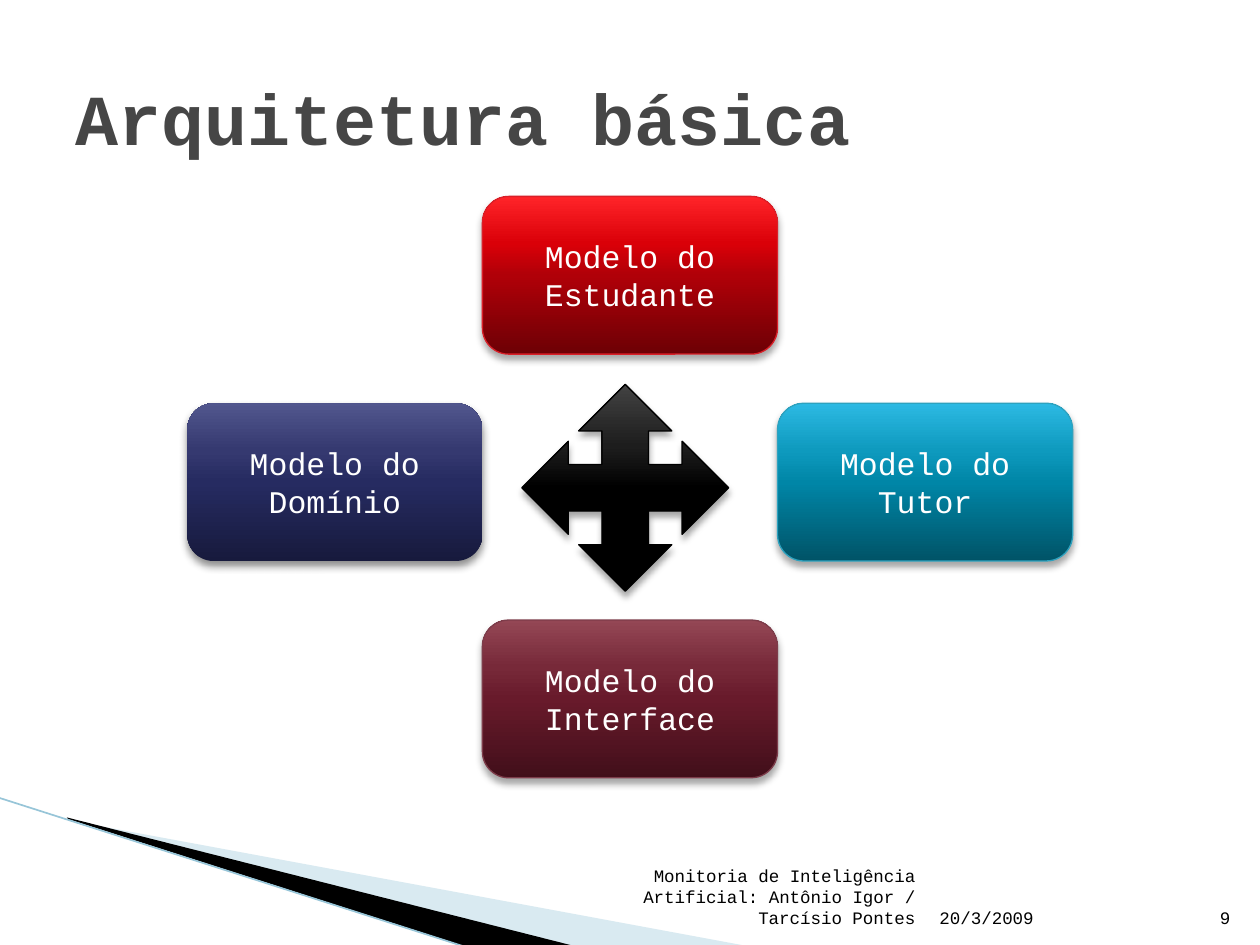
import lxml.etree
import pptx
import pptx.dml.color
import pptx.enum.shapes
import pptx.enum.text
import pptx.oxml
import pptx.oxml.ns
import pptx.util

Cm = pptx.util.Cm
Pt = pptx.util.Pt
RGBColor = pptx.dml.color.RGBColor
MSO_SHAPE = pptx.enum.shapes.MSO_SHAPE
ANCHOR = pptx.enum.text.MSO_ANCHOR
ALIGN = pptx.enum.text.PP_ALIGN
qn = pptx.oxml.ns.qn

FONT = "Courier New"
BLACK = RGBColor(0x00, 0x00, 0x00)
WHITE = RGBColor(0xFF, 0xFF, 0xFF)
TITLE_GRAY = RGBColor(0x46, 0x46, 0x46)
PALE_BLUE = RGBColor(0xA0, 0xCB, 0xDC)
EDGE_BLUE = RGBColor(0x97, 0xC5, 0xD8)
RED_LINE = RGBColor(0xDA, 0x1F, 0x28)
WINE_LINE = RGBColor(0x7D, 0x3C, 0x4A)
CYAN_LINE = RGBColor(0x2D, 0xA2, 0xBF)


def shades(*codes):
    return [RGBColor.from_string(code) for code in codes]


BLACKS = shades("000000", "000000", "1D1D1D", "424242")
REDS = shades("6D0005", "B00008", "DA0008", "FF2429")
NAVIES = shades("171A3D", "262B61", "353970", "51568D")
WINES = shades("420F1A", "681A2B", "772939", "944755")
CYANS = shades("005367", "0086A7", "0E9ABE", "2CB9E3")
STOPS = (0, 50, 70, 100)

BOX_WIDTH, BOX_HEIGHT = 5.95, 3.18
CENTER_X = 12.7
MODELS = [
    ("Modelo do Estudante", 0, 3.96, REDS, RED_LINE),
    ("Modelo do Domínio", -1, 8.13, NAVIES, None),
    ("Modelo do Interface", 0, 12.5, WINES, WINE_LINE),
    ("Modelo do Tutor", 1, 8.13, CYANS, CYAN_LINE),
]


def add_color(parent, color, alpha=None):
    node = lxml.etree.SubElement(parent, qn("a:srgbClr"), val=str(color))
    if alpha is not None:
        lxml.etree.SubElement(node, qn("a:alpha"), val=str(alpha * 1000))


def write(frame, text, size, color, align, anchor, bold=False):
    frame.word_wrap = True
    frame.vertical_anchor = anchor
    paragraph = frame.paragraphs[0]
    paragraph.alignment = align
    run = paragraph.add_run()
    run.text = text
    run.font.name = FONT
    run.font.size = Pt(size)
    run.font.bold = bold
    run.font.color.rgb = color


def add_label(slide, box, text, size, color, align, anchor, bold=False):
    label = slide.shapes.add_textbox(*map(Cm, box))
    write(label.text_frame, text, size, color, align, anchor, bold)


def add_glossy(slide, kind, box, colors, edge):
    glossy = slide.shapes.add_shape(kind, *map(Cm, box))
    glossy.fill.gradient()
    glossy.fill.gradient_angle = 90
    stop_list = glossy.element.spPr.find(qn("a:gradFill")).find(qn("a:gsLst"))
    for old_stop in list(stop_list):
        stop_list.remove(old_stop)
    for position, color in zip(STOPS, colors):
        stop = lxml.etree.SubElement(stop_list, qn("a:gs"), pos=str(position * 1000))
        add_color(stop, color)
    if edge is None:
        glossy.line.fill.background()
    else:
        glossy.line.color.rgb = edge
        glossy.line.width = Pt(0.75)
    add_shadow(glossy, *((45, 5) if edge is None else (35, 4)))
    return glossy


def add_shadow(glossy, alpha, blur):
    glossy.shadow.inherit = False
    effects = glossy.element.spPr.find(qn("a:effectLst"))
    shadow = lxml.etree.SubElement(
        effects, qn("a:outerShdw"), blurRad=str(Pt(blur)), dist=str(Pt(3)),
        dir="5400000", rotWithShape="0")
    add_color(shadow, BLACK, alpha)


def add_wedge(slide, points, color, alpha=None):
    start, *others = [(Cm(x), Cm(y)) for x, y in points]
    builder = slide.shapes.build_freeform(*start)
    builder.add_line_segments(others, close=True)
    wedge = builder.convert_to_shape()
    wedge.shadow.inherit = False
    wedge.fill.solid()
    wedge.fill.fore_color.rgb = color
    wedge.line.fill.background()
    if alpha is not None:
        solid = wedge.element.spPr.find(qn("a:solidFill"))
        solid.clear()
        add_color(solid, color, alpha)


def add_edge(slide, start, end):
    edge = slide.shapes.add_connector(
        pptx.enum.shapes.MSO_CONNECTOR.STRAIGHT, *map(Cm, start + end))
    edge.line.color.rgb = EDGE_BLUE
    edge.line.width = Pt(0.95)
    lxml.etree.SubElement(edge.element.spPr, qn("a:effectLst"))


def add_model(slide, text, column, top, colors, edge):
    left = CENTER_X - BOX_WIDTH / 2 + column * BOX_WIDTH
    model = add_glossy(slide, MSO_SHAPE.ROUNDED_RECTANGLE,
                       (left, top, BOX_WIDTH, BOX_HEIGHT), colors, edge)
    write(model.text_frame, text, 18, WHITE, ALIGN.CENTER, ANCHOR.MIDDLE)


def main():
    deck = pptx.Presentation()
    deck.slide_width, deck.slide_height = Cm(25.4), Cm(19.05)
    slide = deck.slides.add_slide(deck.slide_layouts[6])

    add_wedge(slide, [(1.4, 16.54), (15.11, 19.08), (11.58, 19.08), (1.4, 16.51)],
              PALE_BLUE, 40)
    add_wedge(slide, [(1.35, 16.48), (11.61, 19.08), (9.45, 19.1), (1.37, 16.51)], BLACK)
    add_edge(slide, (-0.03, 16.08), (9.42, 19.1))

    add_label(slide, (1.27, 0.76, 22.86, 3.18), "Arquitetura básica", 41,
              TITLE_GRAY, ALIGN.LEFT, ANCHOR.MIDDLE, bold=True)
    footers = [
        (18.69, 5.33, "20/3/2009", ALIGN.LEFT),
        (24.03, 1.02, "9", ALIGN.RIGHT),
        (12.17, 6.53, "Monitoria de Inteligência Artificial: "
                      "Antônio Igor / Tarcísio Pontes", ALIGN.RIGHT),
    ]
    for left, width, text, align in footers:
        add_label(slide, (left, 17.81, width, 1.02), text, 10, BLACK, align, ANCHOR.BOTTOM)

    add_glossy(slide, MSO_SHAPE.QUAD_ARROW, (10.52, 7.75, 4.17, 4.17), BLACKS, BLACK)
    for model in MODELS:
        add_model(slide, *model)

    deck.save("out.pptx")


if __name__ == "__main__":
    main()
